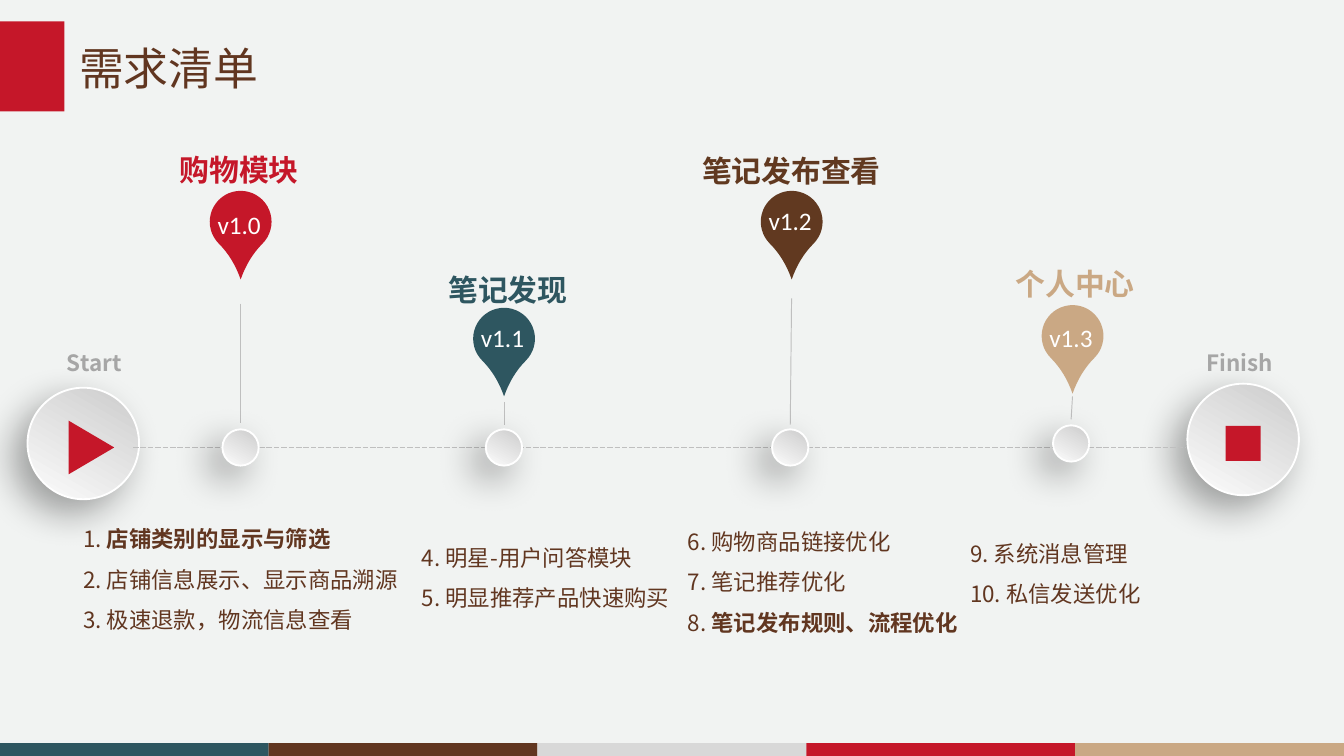
from dataclasses import dataclass

from lxml.etree import SubElement
from pptx import Presentation
from pptx.dml.color import RGBColor
from pptx.enum.dml import MSO_LINE
from pptx.enum.shapes import MSO_CONNECTOR, MSO_SHAPE
from pptx.enum.text import MSO_ANCHOR, MSO_AUTO_SIZE, PP_ALIGN
from pptx.oxml.ns import qn
from pptx.util import Inches, Pt

RED, BROWN, TEAL, TAN = "C51729", "613620", "2E5660", "CAA884"
WHITE, LINE_GREY, LABEL_GREY = "FFFFFF", "BFBFBF", "A6A6A6"
CJK_FONT = "Noto Sans CJK SC"


@dataclass
class Milestone:
    version: str
    heading: str
    color: str
    center: float
    heading_center: float
    heading_top: float
    pin_top: float
    version_top: float
    stem: tuple[float, float]
    node_center: tuple[float, float]


@dataclass
class Requirements:
    left: float
    top: float
    width: float
    first_number: int
    items: tuple[str, ...]
    bold_item: str = ""


MILESTONES = (
    Milestone("v1.0", "购物模块", RED, 1.79, 1.78, 1.08, 1.42, 1.51, (2.26, 3.15), (1.79, 3.33)),
    Milestone("v1.1", "笔记发现", TEAL, 3.75, 3.78, 1.97, 2.29, 2.35, (2.99, 3.16), (3.75, 3.33)),
    Milestone("v1.2", "笔记发布查看", "613920", 5.89, 5.89, 1.09, 1.42, 1.48,
              (2.22, 3.16), (5.88, 3.33)),
    Milestone("v1.3", "个人中心", TAN, 7.98, 8, 1.93, 2.27, 2.35, (2.95, 3.12), (7.97, 3.3)),
)
REQUIREMENTS = (
    Requirements(0.52, 3.76, 2.59, 1,
                 ("店铺类别的显示与筛选", "店铺信息展示、显示商品溯源", "极速退款，物流信息查看"),
                 "店铺类别的显示与筛选"),
    Requirements(3.04, 3.9, 2.14, 4, ("明星-用户问答模块", "明显推荐产品快速购买")),
    Requirements(5.02, 3.78, 2.59, 6,
                 ("购物商品链接优化", "笔记推荐优化", "笔记发布规则、流程优化"),
                 "笔记发布规则、流程优化"),
    Requirements(7.12, 3.87, 1.67, 9, ("系统消息管理", "私信发送优化")),
)


def rgb(color: str) -> RGBColor:
    return RGBColor.from_string(color)


def add_solid(kind, left: float, top: float, width: float, height: float,
              color: str, rotation: float = 0):
    shape = page.shapes.add_shape(kind, Inches(left), Inches(top), Inches(width), Inches(height))
    shape.shadow.inherit = False
    shape.fill.solid()
    shape.fill.fore_color.rgb = rgb(color)
    shape.line.fill.background()
    shape.rotation = rotation
    return shape


def add_button(center_x: float, center_y: float, size: float) -> None:
    """Raised round button with a grey gradient and a soft shadow."""
    button = add_solid(MSO_SHAPE.OVAL, center_x - size / 2, center_y - size / 2, size, size, WHITE)
    button.fill.gradient()
    button.fill.gradient_angle = 240
    for stop, color in zip(button.fill.gradient_stops, ("CCCCCC", "FCFCFC")):
        stop.color.rgb = rgb(color)
    button.line.color.rgb = rgb(WHITE)
    button.line.width = Pt(1)
    effects = button._element.spPr.find(qn("a:effectLst"))
    shadow = SubElement(effects, qn("a:outerShdw"), blurRad=str(Pt(20)), dist=str(Pt(10)),
                        dir=str(136 * 60000), algn="ctr", rotWithShape="0")
    shade = SubElement(shadow, qn("a:srgbClr"), val="000000")
    SubElement(shade, qn("a:alpha"), val="34000")


def add_line(start: tuple[float, float], end: tuple[float, float], width: float):
    line = page.shapes.add_connector(MSO_CONNECTOR.STRAIGHT, *map(Inches, start + end))
    line.line.color.rgb = rgb(LINE_GREY)
    line.line.width = Pt(width)
    SubElement(line._element.spPr, qn("a:effectLst"))
    return line


def style_span(span, size: float, color: str, bold: bool = False, font: str = CJK_FONT) -> None:
    span.font.size = Pt(size)
    span.font.bold = bold
    span.font.color.rgb = rgb(color)
    span.font.name = font
    SubElement(span._r.get_or_add_rPr(), qn("a:ea"), typeface=CJK_FONT)


def add_box(left: float, top: float, width: float, height: float, wrap: bool = True):
    box = page.shapes.add_textbox(Inches(left), Inches(top), Inches(width), Inches(height))
    box.text_frame.word_wrap = wrap
    box.text_frame.auto_size = MSO_AUTO_SIZE.SHAPE_TO_FIT_TEXT
    return box.text_frame


def add_label(text: str, left: float, top: float, width: float, height: float, size: float,
              color: str, bold: bool = False, font: str = CJK_FONT,
              align=PP_ALIGN.LEFT, wrap: bool = False):
    frame = add_box(left, top, width, height, wrap)
    frame.text = text
    para = frame.paragraphs[0]
    para.alignment = align
    style_span(para.runs[0], size, color, bold, font)
    return frame


def add_milestone(stone: Milestone) -> None:
    stem_top, stem_bottom = stone.stem
    add_line((stone.center, stem_top), (stone.node_center[0], stem_bottom), 0.5)
    pin = add_solid(MSO_SHAPE.TEAR, stone.center - 0.23, stone.pin_top, 0.46, 0.46,
                    stone.color, 135)
    pin.adjustments[0] = 1.32
    width = 0.22 + 0.22 * len(stone.heading)
    add_label(stone.heading, stone.heading_center - width / 2, stone.heading_top, width, 0.37,
              16, stone.color, bold=True, align=PP_ALIGN.CENTER)
    add_button(*stone.node_center, 0.27)
    add_label(stone.version, stone.center - 0.27, stone.version_top, 0.58, 0.33,
              13.5, WHITE, font="Calibri", wrap=True)


def add_requirements(group: Requirements) -> None:
    frame = add_box(group.left, group.top, group.width, 0.36 + 0.31 * (len(group.items) - 1))
    for index, item in enumerate(group.items):
        para = frame.paragraphs[0] if index == 0 else frame.add_paragraph()
        para.line_spacing = 1.5
        number = f"{group.first_number + index}. "
        bold = item == group.bold_item
        for text in (number, item) if bold else (number + item,):
            span = para.add_run()
            span.text = text
            style_span(span, 12, BROWN, bold and text == item)


deck = Presentation()
deck.slide_width = Inches(10)
deck.slide_height = deck.slide_width * 9 // 16
page = deck.slides.add_slide(deck.slide_layouts[6])
page.background.fill.solid()
page.background.fill.fore_color.rgb = rgb("F1F3F2")

# Footer bands and title
for index, band_color in enumerate((TEAL, BROWN, "D8D8D8", RED, TAN)):
    add_solid(MSO_SHAPE.RECTANGLE, 2 * index, 5.53, 2, 0.1, band_color)
add_solid(MSO_SHAPE.RECTANGLE, 0, 0.16, 0.48, 0.67, RED)
title = add_label("需求清单", 0.49, 0.33, 3.01, 0.39, 24, BROWN, font="Calibri", wrap=True)
title.auto_size = MSO_AUTO_SIZE.NONE
title.vertical_anchor = MSO_ANCHOR.MIDDLE
title.paragraphs[0].line_spacing = 0.9

# Timeline with start and finish buttons
add_button(0.62, 3.3, 0.83)
add_button(9.25, 3.27, 0.83)
add_line((0.99, 3.33), (8.82, 3.33), 1).line.dash_style = MSO_LINE.SQUARE_DOT
add_solid(MSO_SHAPE.ISOSCELES_TRIANGLE, 0.48, 3.16, 0.4, 0.34, RED, 90)
add_solid(MSO_SHAPE.RECTANGLE, 9.12, 3.17, 0.26, 0.26, RED)
add_label("Start", 0.4, 2.55, 0.61, 0.3, 12, LABEL_GREY, bold=True)
add_label("Finish", 8.88, 2.55, 0.7, 0.3, 12, LABEL_GREY, bold=True)

# Milestones and their requirements
for milestone in MILESTONES:
    add_milestone(milestone)
for requirements in REQUIREMENTS:
    add_requirements(requirements)

deck.save("out.pptx")
